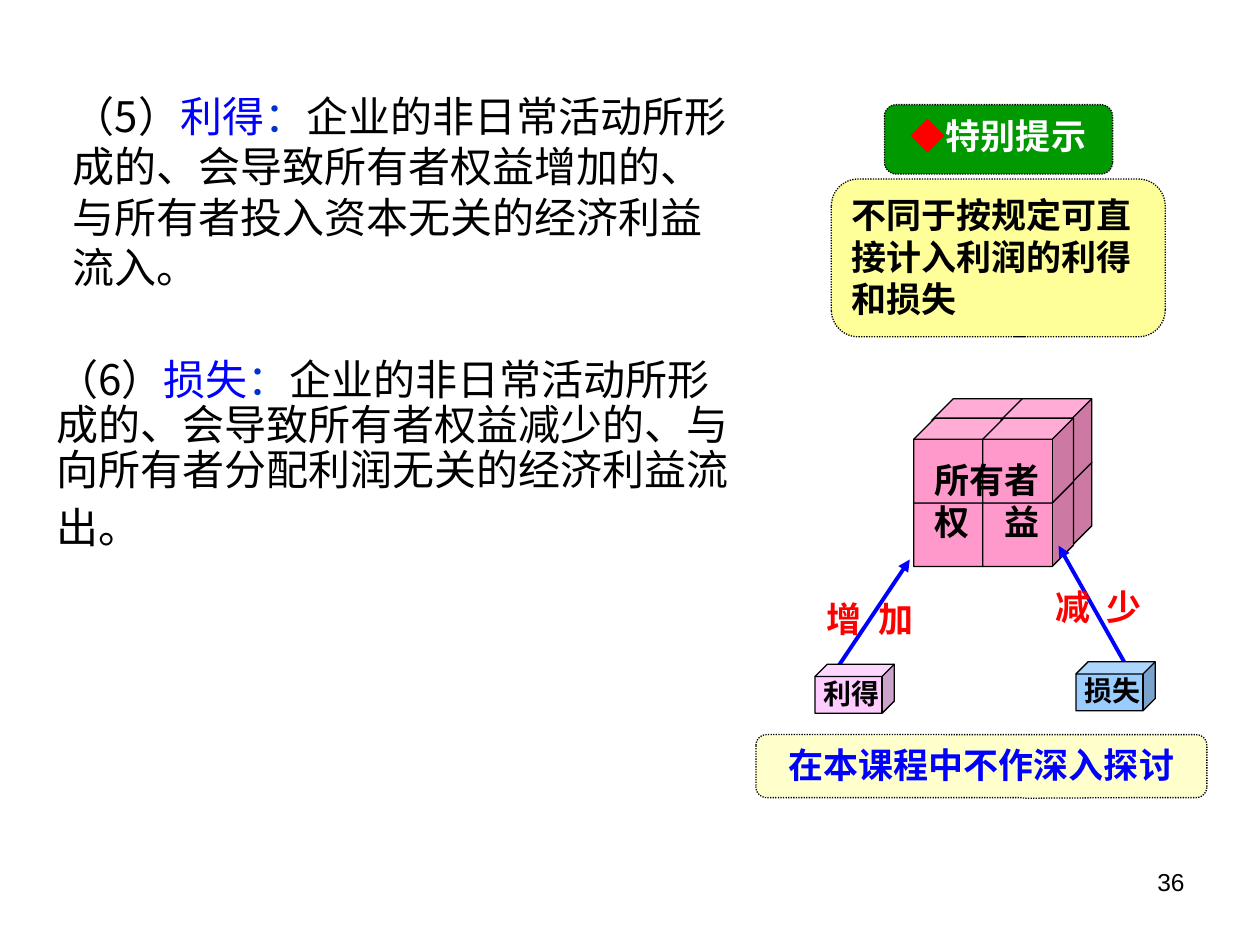
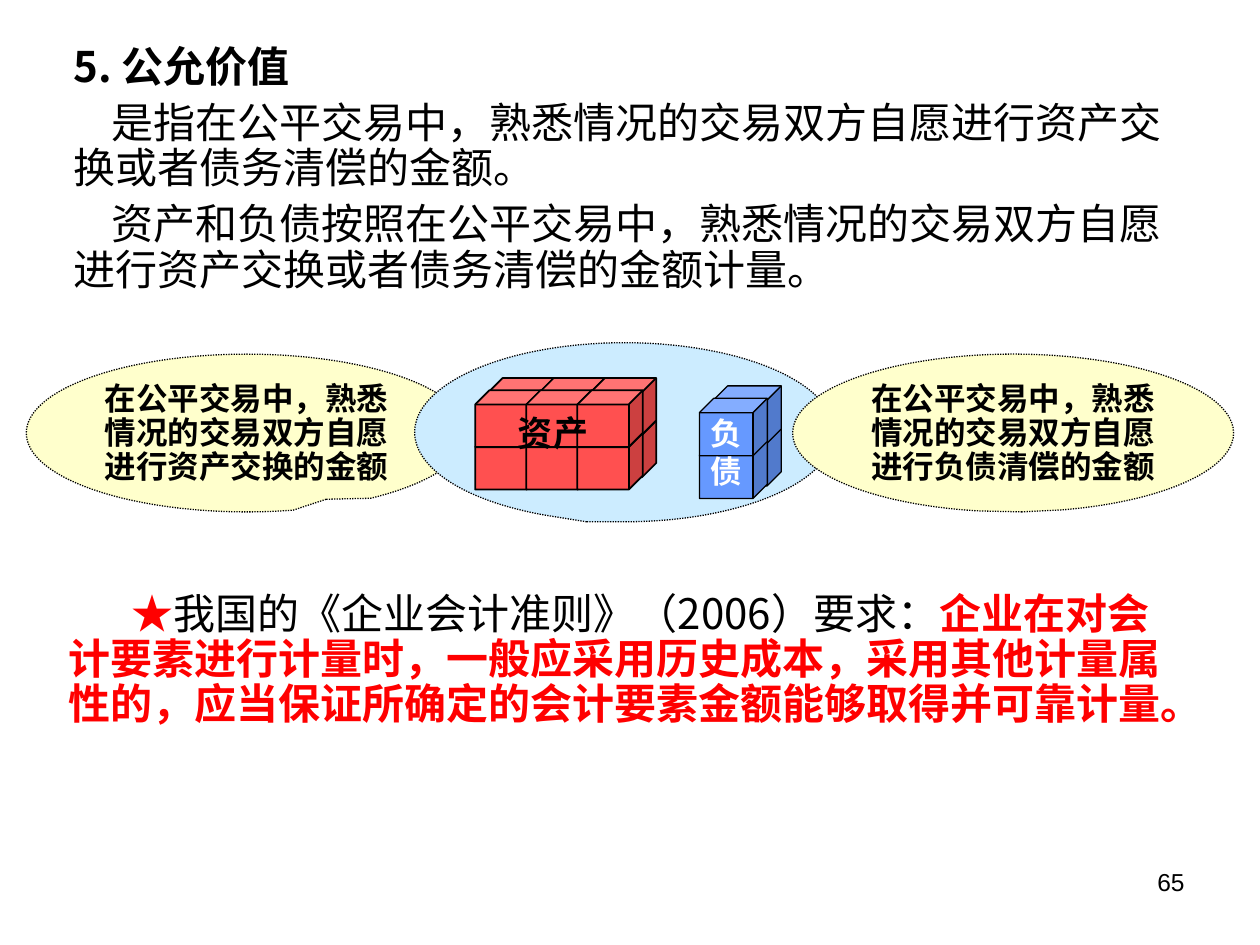
import pptx
import pptx.dml.color
import pptx.enum.dml
import pptx.enum.shapes
import pptx.enum.text
import pptx.oxml
import pptx.oxml.ns
import pptx.util

Cm, Pt = pptx.util.Cm, pptx.util.Pt
SHAPE = pptx.enum.shapes.MSO_SHAPE
ALIGN = pptx.enum.text.PP_ALIGN

CJK, SANS, SERIF = "Noto Sans CJK SC", "Arial", "Times New Roman"
BLACK, WHITE, RED, BLUE, COLON = "000000", "FFFFFF", "FF0000", "0000FF", "0033CC"
CREAM = "FFFFCC"
BODY = dict(name=CJK, size=24, color=BLACK)
NOTE = dict(name=SANS, size=20, bold=True, color=BLACK)
LABEL = dict(name=SERIF, size=20, bold=True, color=BLACK)
SPACER = dict(name=SANS, size=32, bold=True)


def rgb(value):
    return pptx.dml.color.RGBColor.from_string(value)


def add_xml(parent, tag, **attrs):
    el = pptx.oxml.parse_xml(f"<a:{tag} {pptx.oxml.ns.nsdecls('a')}/>")
    for key, value in attrs.items():
        el.set(key, value)
    parent.append(el)


class Deck:
    def __init__(self):
        self.prs = pptx.Presentation()
        self.prs.slide_width, self.prs.slide_height = Cm(25.4), Cm(19.05)
        self.s = None

    def new_slide(self, number):
        self.s = self.prs.slides.add_slide(self.prs.slide_layouts[6])
        self.text(18.21, 17.35, 5.92, 1.32, [[str(number)]],
                  dict(name=SANS, size=14, color=BLACK), align=ALIGN.RIGHT)

    def set_text(self, sp, paras, style, align=ALIGN.LEFT, spacing=None, before=0, indents=()):
        """Each paragraph is a list of runs: a string, or (string, style changes)."""
        tf = sp.text_frame
        tf.word_wrap = True
        tf.vertical_anchor = pptx.enum.text.MSO_ANCHOR.TOP
        for i, runs in enumerate(paras):
            p = tf.paragraphs[0] if i == 0 else tf.add_paragraph()
            p.alignment, p.line_spacing = align, spacing
            if i and before:
                p.space_before = Pt(before)
            if indents and indents[i]:
                p._p.get_or_add_pPr().set("indent", str(Cm(indents[i])))
            for part in runs:
                words, changes = (part, {}) if isinstance(part, str) else part
                self.add_run(p, words, {**style, **changes})

    def add_run(self, p, words, style):
        r = p.add_run()
        r.text = words
        fmt = dict(style)
        color, tracking = fmt.pop("color", None), fmt.pop("tracking", 0)
        fmt["size"] = Pt(fmt["size"])
        for key, value in fmt.items():
            setattr(r.font, key, value)
        if color:
            r.font.color.rgb = rgb(color)
        rPr = r._r.get_or_add_rPr()
        if tracking:
            rPr.set("spc", str(int(tracking * 100)))
        add_xml(rPr, "ea", typeface=CJK)

    def text(self, x, y, w, h, paras, style, **layout):
        sp = self.s.shapes.add_textbox(Cm(x), Cm(y), Cm(w), Cm(h))
        self.set_text(sp, paras, style, **layout)

    def shape(self, kind, x, y, w, h, fill=None, line=0.75, adj=(), dotted=False):
        sp = self.s.shapes.add_shape(kind, Cm(x), Cm(y), Cm(w), Cm(h))
        sp.shadow.inherit = False
        for i, value in enumerate(adj):
            sp.adjustments[i] = value
        if fill is None:
            sp.fill.background()
            sp.line.fill.background()
            return sp
        sp.fill.solid()
        sp.fill.fore_color.rgb = rgb(fill)
        sp.line.color.rgb = rgb(BLACK)
        sp.line.width = Pt(line)
        if dotted:
            sp.line.dash_style = pptx.enum.dml.MSO_LINE.ROUND_DOT
        return sp

    def callout(self, kind, x, y, w, h, fill, adj, paras=(), style=NOTE, **layout):
        sp = self.shape(kind, x, y, w, h, fill, adj=adj, dotted=True)
        if paras:
            self.set_text(sp, paras, style, **layout)

    def rounded(self, x, y, w, h, fill, tip, runs, style=NOTE, align=ALIGN.CENTER):
        self.callout(SHAPE.ROUNDED_RECTANGULAR_CALLOUT, x, y, w, h, fill,
                     (*tip, 0.17), [runs], style, align=align)

    def oval(self, x, y, w, h, fill, tip, words=""):
        self.callout(SHAPE.OVAL_CALLOUT, x, y, w, h, fill, tip, [[words]] if words else (),
                     {**NOTE, "size": 18}, align=ALIGN.CENTER, spacing=0.9)

    def blocks(self, x, y, cols, size, step, depth, fill, line=0.75):
        """Two rows and two layers of cubes; x, y is the front top left cube."""
        for col in range(cols):
            for layer in (1, 0):
                for row in (1, 0):
                    self.shape(SHAPE.CUBE, x + col * step[0] + layer * depth[0],
                               y + row * step[1] - layer * depth[1], *size, fill, line)

    def arrow(self, x1, y1, x2, y2):
        c = self.s.shapes.add_connector(pptx.enum.shapes.MSO_CONNECTOR.STRAIGHT,
                                        Cm(x1), Cm(y1), Cm(x2), Cm(y2))
        c.line.color.rgb = rgb(BLUE)
        c.line.width = Pt(2.25)
        spPr = c._element.spPr
        add_xml(spPr.get_or_add_ln(), "tailEnd", type="triangle")
        add_xml(spPr, "effectLst")

    def cause(self, arrow, effect, effect_at, name, cube_at, fill):
        """An arrow with its effect, rising from a small named cube."""
        self.arrow(*arrow)
        self.rounded(*effect_at, 2.79, 1.19, None, (0.02, 0.2), [effect],
                     {**LABEL, "color": RED, "tracking": 2.5})
        x, y = cube_at
        self.shape(SHAPE.CUBE, x, y, 1.6, 0.99, fill)
        self.text(x - 0.11, y + 0.12, 1.7, 0.84, [[name]], {**LABEL, "size": 16},
                  align=ALIGN.CENTER)


def gains_and_losses(deck):
    deck.new_slide(36)
    # Definitions
    deck.text(1.22, 1.7, 14.02, 7.42, [[
        "（5）", ("利得", dict(color=BLUE)), ("：", dict(color=COLON)),
        "企业的非日常活动所形成的、会导致所有者权益增加的、与所有者投入资本无关的经济利益流入。"]], BODY)
    deck.text(0.89, 7.11, 14.35, 6.35, [[
        "（6）", ("损失", dict(color=BLUE)), ("：", dict(color=COLON)),
        "企业的非日常活动所形成的、会导致所有者权益减少的、与向所有者分配利润无关的经济利益流出。",
        (" ", SPACER)]], BODY, spacing=0.9)
    # Special hint
    deck.rounded(16.76, 3.61, 6.73, 3.18, "FFFF99", (0.05, 0.5),
                 ["不同于按规定可直接计入利润的利得和损失"], align=ALIGN.LEFT)
    deck.rounded(17.83, 2.11, 4.6, 1.4, "009900", (0.12, 0.5),
                 [("◆", dict(color=RED)), "特别提示"], {**LABEL, "color": WHITE})
    # Owners' equity and what changes it
    deck.blocks(18.42, 8.43, 2, (1.83, 1.71), (1.39, 1.28), (0.37, 0.39), "FF99CC")
    deck.text(18.34, 9.12, 3.1, 2.08, [["所有者"], ["权　益"]], LABEL, align=ALIGN.CENTER)
    deck.cause((16.74, 13.67, 18.34, 11.28), "增 加", (16.15, 11.86),
               "利得", (16.43, 13.39), "FFCCFF")
    deck.cause((22.66, 13.34, 21.34, 11), "减 少", (20.75, 11.61),
               "损失", (21.69, 13.34), "99CCFF")
    deck.rounded(15.24, 14.81, 9.09, 1.27, CREAM, (0.1, 0.51),
                 ["在本课程中不作深入探讨"], {**NOTE, "color": BLUE})


def fair_value(deck):
    deck.new_slide(65)
    # Definition and requirement
    deck.text(1.24, 0.81, 22.86, 6.38, [
        [("5. 公允价值", dict(bold=True))],
        ["是指在公平交易中，熟悉情况的交易双方自愿进行资产交换或者债务清偿的金额。"],
        ["资产和负债按照在公平交易中，熟悉情况的交易双方自愿进行资产交换或者债务清偿的金额计量。"],
    ], BODY, spacing=0.9, before=6, indents=(0, 0.76, 0.76))
    deck.text(1.14, 11.83, 22.86, 5.08, [[
        ("★", dict(color=RED)), "我国的《企业会计准则》（2006）要求：",
        ("企业在对会计要素进行计量时，一般应采用历史成本，采用其他计量属性的，"
         "应当保证所确定的会计要素金额能够取得并可靠计量。", dict(color=RED, bold=True))]],
        BODY, spacing=0.9, indents=(1.27,))
    # Assets and liabilities between their measurement rules
    deck.oval(0.53, 7.14, 8.89, 3.18, CREAM, (0.18, 0.42),
              "在公平交易中，熟悉情况的交易双方自愿进行资产交换的金额")
    deck.oval(8.36, 6.91, 8.46, 3.61, "CCECFF", (-0.09, 0.5))
    deck.blocks(9.58, 7.87, 3, (1.32, 1.14), (1.03, 0.86), (0.27, 0.25), "FF5050", 1)
    deck.text(9.93, 8.18, 2.44, 1.42, [["资产"]], LABEL, align=ALIGN.CENTER)
    deck.blocks(14.1, 8.03, 1, (1.37, 1.16), (0, 0.86), (0.28, 0.25), "6699FF")
    deck.text(14.07, 8.23, 0.99, 1.24, [["负债"]], {**LABEL, "size": 18, "color": WHITE},
              align=ALIGN.CENTER)
    deck.oval(15.98, 7.14, 8.89, 3.18, CREAM, (0.02, 0.5),
              "在公平交易中，熟悉情况的交易双方自愿进行负债清偿的金额")


def main():
    deck = Deck()
    gains_and_losses(deck)
    fair_value(deck)
    deck.prs.save("out.pptx")


if __name__ == "__main__":
    main()
